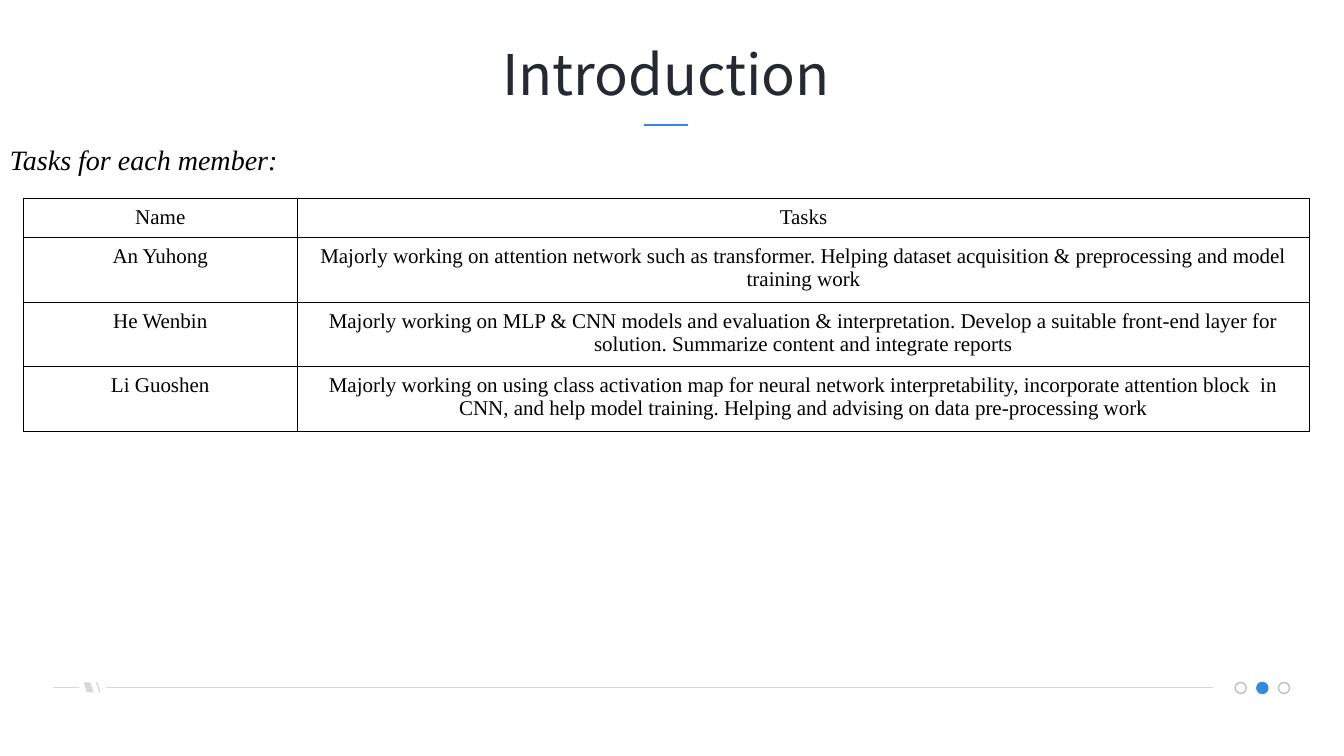
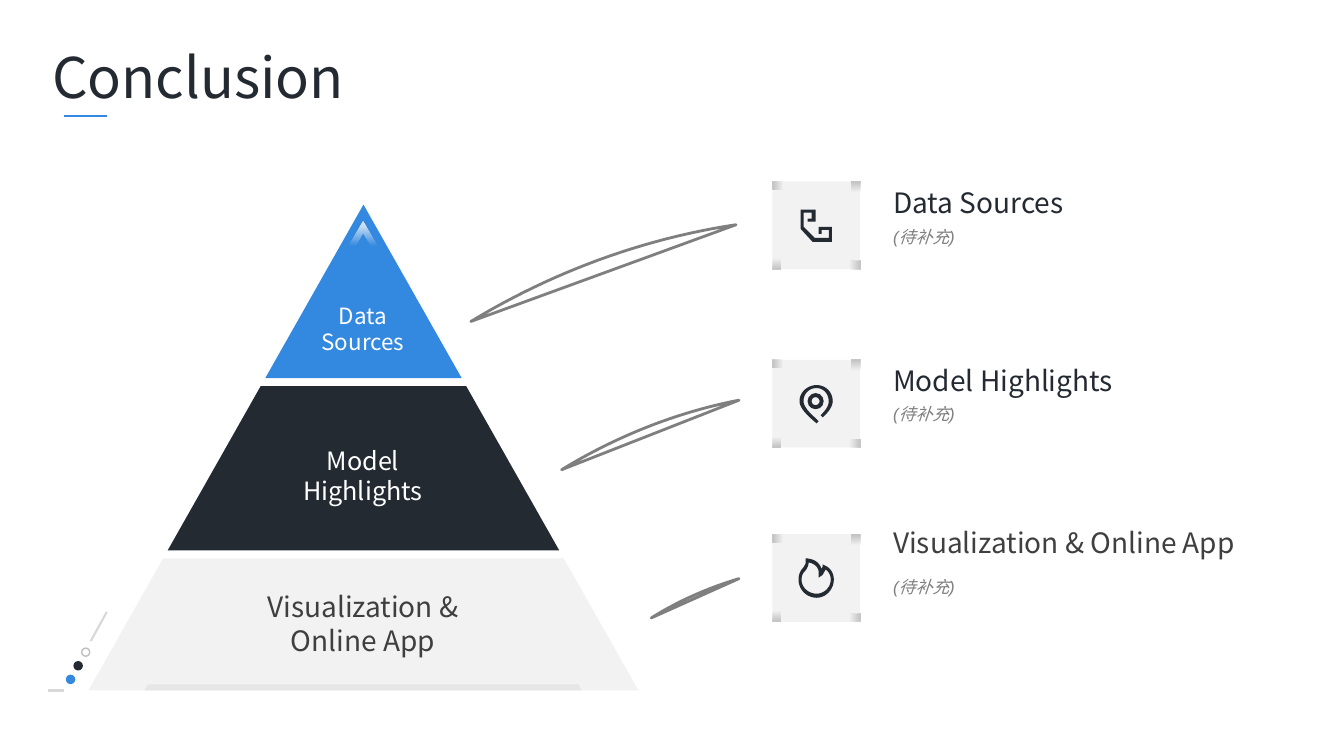
from dataclasses import dataclass

from lxml.etree import SubElement, fromstring
from pptx import Presentation
from pptx.dml.color import RGBColor
from pptx.enum.shapes import MSO_CONNECTOR, MSO_SHAPE
from pptx.enum.text import MSO_ANCHOR, MSO_AUTO_SIZE, PP_ALIGN
from pptx.oxml.ns import nsdecls, qn
from pptx.util import Inches, Pt

# Shared look
SANS, SERIF, NOTE_FONT = "Noto Sans CJK SC", "Times New Roman", "Arial"
BLUE, NAVY, WHITE, BLACK = "3388DF", "242A32", "FFFFFF", "000000"
PALE, RULE, RING, GREY, CHARCOAL = "F2F2F2", "D8D8D8", "BFBFBF", "7F7F7F", "3F3F3F"

Point = tuple[float, float]


@dataclass
class Style:
    size: float
    color: str = NAVY
    font: str = SANS
    italic: bool = False
    align: PP_ALIGN = PP_ALIGN.LEFT
    spacing: float | None = None


@dataclass
class Layer:
    label: str
    top: float
    bottom: float
    fill: str
    label_box: tuple[float, float, float, float]
    style: Style


@dataclass
class Topic:
    heading: str
    tile_top: float
    heading_top: float
    note_top: float
    style: Style
    icon: list[list[Point]]
    swoosh: list[Point]


def rgb(color: str) -> RGBColor:
    return RGBColor.from_string(color)


def paint(shape, fill: str | None = None, line: str | None = None, width: float = 1):
    shape.shadow.inherit = False
    if fill:
        shape.fill.solid()
        shape.fill.fore_color.rgb = rgb(fill)
    else:
        shape.fill.background()
    if line:
        shape.line.color.rgb = rgb(line)
        shape.line.width = Pt(width)
    else:
        shape.line.fill.background()
    return shape


def paint_gradient(shape, color: str, stops: list[tuple[int, int]], angle: int) -> None:
    """Fill with one colour whose opacity runs through (position, alpha) stops."""
    paint(shape)
    marks = "".join(
        f'<a:gs pos="{position * 1000}"><a:srgbClr val="{color}">'
        f'<a:alpha val="{alpha * 1000}"/></a:srgbClr></a:gs>'
        for position, alpha in stops)
    gradient = fromstring(
        f'<a:gradFill {nsdecls("a")} rotWithShape="1"><a:gsLst>{marks}</a:gsLst>'
        f'<a:lin ang="{angle * 60000}" scaled="0"/></a:gradFill>')
    properties = shape._element.spPr
    properties.replace(properties.find(qn("a:noFill")), gradient)


def add_preset(slide, kind: MSO_SHAPE, left: float, top: float, width: float, height: float):
    return slide.shapes.add_shape(
        kind, Inches(left), Inches(top), Inches(width), Inches(height))


def add_dot(slide, left: float, top: float, size: float, fill: str | None) -> None:
    paint(add_preset(slide, MSO_SHAPE.OVAL, left, top, size, size), fill, fill or RING)


def add_rule(slide, start: Point, end: Point, color: str = RULE, width: float = 1) -> None:
    rule = slide.shapes.add_connector(
        MSO_CONNECTOR.STRAIGHT, *(Inches(value) for value in start + end))
    rule.line.color.rgb = rgb(color)
    rule.line.width = Pt(width)
    SubElement(rule._element.spPr, qn("a:effectLst"))


def add_outline(slide, contours: list[list[Point]]):
    scaled = [[(Inches(x), Inches(y)) for x, y in contour] for contour in contours]
    builder = slide.shapes.build_freeform(*scaled[0][0], scale=1.0)
    for number, contour in enumerate(scaled):
        if number:
            builder.move_to(*contour[0])
        builder.add_line_segments(contour[1:], close=True)
    return builder.convert_to_shape()


def curve(points: list[Point], steps: int = 10) -> list[Point]:
    """Trace joined cubic curves: a start, then three points per curve."""
    traced = [points[0]]
    for first in range(0, len(points) - 1, 3):
        a, b, c, d = points[first:first + 4]
        for step in range(1, steps + 1):
            t = step / steps
            u = 1 - t
            weights = (u ** 3, 3 * u * u * t, 3 * u * t * t, t ** 3)
            traced.append(tuple(
                sum(w * p[axis] for w, p in zip(weights, (a, b, c, d))) for axis in (0, 1)))
    return traced


def write(paragraph, text: str, style: Style) -> None:
    paragraph.alignment = style.align
    if style.spacing:
        paragraph.line_spacing = style.spacing
    run = paragraph.add_run()
    run.text = text
    run.font.size = Pt(style.size)
    run.font.name = style.font
    run.font.italic = style.italic
    run.font.color.rgb = rgb(style.color)


def add_text(slide, text: str, left: float, top: float, width: float, height: float,
             style: Style, inset: float = 0.05) -> None:
    frame = slide.shapes.add_textbox(
        Inches(left), Inches(top), Inches(width), Inches(height)).text_frame
    frame.word_wrap = True
    frame.auto_size = MSO_AUTO_SIZE.SHAPE_TO_FIT_TEXT
    frame.margin_top = frame.margin_bottom = Inches(inset)
    write(frame.paragraphs[0], text, style)


def add_title(slide, text: str, left: float, top: float, align: PP_ALIGN, accent: Point) -> None:
    add_text(slide, text, left, top, 3.93, 0.77, Style(40, align=align))
    add_rule(slide, accent, (accent[0] + 0.43, accent[1]), BLUE, 2)


# Introduction
TASKS = [
    ("Name", "Tasks"),
    ("An Yuhong", "Majorly working on attention network such as transformer. Helping dataset "
     "acquisition & preprocessing and model training work"),
    ("He Wenbin", "Majorly working on MLP & CNN models and evaluation & interpretation. Develop "
     "a suitable front-end layer for solution. Summarize content and integrate reports"),
    ("Li Guoshen", "Majorly working on using class activation map for neural network "
     "interpretability, incorporate attention block  in CNN, and help model training. "
     "Helping and advising on data pre-processing work"),
]


def add_borders(cell) -> None:
    properties = cell._tc.get_or_add_tcPr()
    for place, side in enumerate(("lnL", "lnR", "lnT", "lnB")):
        properties.insert(place, fromstring(
            f'<a:{side} {nsdecls("a")} w="{Pt(1)}"><a:solidFill>'
            f'<a:srgbClr val="{BLACK}"/></a:solidFill></a:{side}>'))


def add_task_table(slide) -> None:
    table = slide.shapes.add_table(
        len(TASKS), 2, Inches(0.23), Inches(1.97), Inches(12.76), Inches(2.31)).table
    for column, width in zip(table.columns, (2.72, 10.04)):
        column.width = Inches(width)
    style = Style(15, BLACK, SERIF, align=PP_ALIGN.CENTER)
    for number, (row, texts) in enumerate(zip(table.rows, TASKS)):
        row.height = Inches(0.64 if number else 0.39)
        for cell, text in zip(row.cells, texts):
            cell.fill.background()
            cell.margin_left = cell.margin_right = Inches(0.07)
            cell.margin_top = cell.margin_bottom = Inches(0.07)
            add_borders(cell)
            write(cell.text_frame.paragraphs[0], text, style)


def add_footer(slide) -> None:
    for number, fill in enumerate((None, BLUE, None)):
        add_dot(slide, 12.25 + number * 0.215, 6.77, 0.11, fill)
    add_rule(slide, (1.05, 6.82), (12.03, 6.82))
    add_rule(slide, (0.53, 6.82), (0.78, 6.82))
    add_rule(slide, (0.96, 6.77), (0.99, 6.87))
    slant = paint(add_preset(slide, MSO_SHAPE.PARALLELOGRAM, 0.83, 6.77, 0.1, 0.1), RULE)
    slant.adjustments[0] = 0.33
    slant._element.spPr.xfrm.set("flipH", "1")


def build_introduction(slide) -> None:
    add_title(slide, "Introduction", 4.64, 0.34, PP_ALIGN.CENTER, (6.39, 1.24))
    add_footer(slide)
    add_text(slide, "Tasks for each member:", 0, 1.31, 3.93, 0.54,
             Style(20, BLACK, SERIF, italic=True, align=PP_ALIGN.JUSTIFY), inset=0.1)
    add_task_table(slide)


# Conclusion
APEX_X, APEX_Y, SLOPE = 3.605, 2.03, 0.566
TILE_LEFT, TILE, ACCENT_W, ACCENT_H = 7.66, 0.87, 0.25, 0.08
LAYERS = [
    Layer("Visualization & Online App", 5.54, 6.85, PALE, (2.44, 5.93, 2.32, 0.51),
          Style(20, CHARCOAL, align=PP_ALIGN.CENTER)),
    Layer("Data Sources", APEX_Y, 3.75, BLUE, (2.85, 3, 1.5, 0.52),
          Style(16, WHITE, align=PP_ALIGN.CENTER)),
    Layer("Model Highlights", 3.83, 5.46, NAVY, (2.53, 4.46, 2.14, 0.52),
          Style(18, WHITE, align=PP_ALIGN.CENTER)),
]
PHONE = [[
    (8.15, 2.32), (8.12, 2.32), (8.12, 2.25), (8.25, 2.25), (8.25, 2.4), (8.06, 2.4),
    (7.94, 2.27), (7.94, 2.08), (8.09, 2.08), (8.09, 2.2), (8.01, 2.2), (8.01, 2.17),
    (8.05, 2.17), (8.05, 2.11), (7.97, 2.11), (7.97, 2.25), (8.08, 2.36), (8.22, 2.36),
    (8.22, 2.28), (8.15, 2.28)]]
PIN = [curve([
    (8.08, 4.14), (7.99, 4.06), (7.97, 4.01), (7.97, 3.98), (7.97, 3.91), (8.02, 3.85),
    (8.1, 3.85), (8.17, 3.85), (8.22, 3.91), (8.22, 3.98), (8.22, 4.01), (8.21, 4.05),
    (8.14, 4.12)]) + curve([
        (8.16, 4.14), (8.23, 4.08), (8.26, 4.02), (8.26, 3.98), (8.26, 3.89), (8.19, 3.82),
        (8.1, 3.82), (8.01, 3.82), (7.93, 3.89), (7.93, 3.98), (7.93, 4.04), (7.99, 4.11),
        (8.1, 4.2)]) + [(8.12, 4.18)]]
FLAME = [
    curve([(7.95, 5.75), (7.95, 5.83), (8.02, 5.89), (8.1, 5.89), (8.17, 5.89), (8.24, 5.83),
           (8.24, 5.75), (8.24, 5.71), (8.22, 5.67), (8.19, 5.65), (8.18, 5.66), (8.18, 5.67),
           (8.17, 5.68), (8.17, 5.69), (8.16, 5.7), (8.15, 5.71)])
    + [(8.12, 5.73)]
    + curve([(8.12, 5.68), (8.12, 5.63), (8.08, 5.59), (8.02, 5.58), (8.02, 5.6), (8.01, 5.64),
             (7.98, 5.67), (7.96, 5.69), (7.95, 5.72), (7.95, 5.75)]),
    [(8.15, 5.64), (8.16, 5.62), (8.16, 5.6), (8.18, 5.61)]
    + curve([(8.2, 5.62), (8.25, 5.65), (8.27, 5.7), (8.27, 5.75), (8.27, 5.85), (8.19, 5.93),
             (8.1, 5.93), (8, 5.93), (7.92, 5.85), (7.92, 5.75), (7.92, 5.71), (7.93, 5.68),
             (7.95, 5.65), (7.97, 5.63), (7.98, 5.61), (7.99, 5.59)])
    + [(7.99, 5.54)]
    + curve([(8.01, 5.54), (8.08, 5.55), (8.13, 5.58), (8.15, 5.65)]),
]
HEADING = Style(20, spacing=1.3)
NOTE = Style(12, GREY, NOTE_FONT, italic=True, spacing=1.3)
TOPICS = [
    Topic("Data Sources", 1.8, 1.69, 2.14, HEADING, PHONE,
          [(4.67, 3.19), (5.48, 2.7), (6.37, 2.37), (7.3, 2.23)]),
    Topic("Model Highlights", 3.57, 3.46, 3.9, HEADING, PIN,
          [(5.57, 4.66), (6.11, 4.33), (6.71, 4.09), (7.33, 3.97)]),
    Topic("Visualization & Online App", 5.3, 5.16, 5.61, Style(20, CHARCOAL), FLAME,
          [(6.46, 6.13), (6.73, 5.96), (7.03, 5.83), (7.33, 5.74)]),
]


def add_layer(slide, layer: Layer) -> None:
    upper, lower = ((y - APEX_Y) * SLOPE for y in (layer.top, layer.bottom))
    paint(add_outline(slide, [[
        (APEX_X - upper, layer.top), (APEX_X + upper, layer.top),
        (APEX_X + lower, layer.bottom), (APEX_X - lower, layer.bottom)]]), layer.fill)
    label = paint(add_preset(slide, MSO_SHAPE.ROUNDED_RECTANGLE, *layer.label_box))
    label.text_frame.word_wrap = True
    label.text_frame.vertical_anchor = MSO_ANCHOR.MIDDLE
    write(label.text_frame.paragraphs[0], layer.label, layer.style)


def add_tile(slide, top: float) -> None:
    paint(add_preset(slide, MSO_SHAPE.RECTANGLE, TILE_LEFT, top, TILE, TILE), PALE)
    long, short = ACCENT_W / 2, ACCENT_H / 2
    centres = {0: (TILE - long, TILE - short), 270: (TILE - short, long),
               180: (long, short), 90: (short, TILE - long)}
    for angle, (x, y) in centres.items():
        accent = add_preset(slide, MSO_SHAPE.RECTANGLE, TILE_LEFT + x - long,
                            top + y - short, ACCENT_W, ACCENT_H)
        accent.rotation = angle
        paint_gradient(accent, RING, [(0, 100), (43, 0), (100, 0)], 180)


def add_topic(slide, topic: Topic) -> None:
    add_tile(slide, topic.tile_top)
    paint(add_outline(slide, topic.icon), NAVY)
    add_text(slide, topic.heading, 8.76, topic.heading_top, 4.04, 0.51, topic.style)
    add_text(slide, "(待补充)", 8.76, topic.note_top, 3.69, 0.6, NOTE)
    paint(add_outline(slide, [curve(topic.swoosh, 24)]), None, GREY, 2)


def build_conclusion(slide) -> None:
    add_title(slide, "Conclusion", 0.42, 0.37, PP_ALIGN.LEFT, (0.63, 1.15))
    # Pyramid
    for layer in LAYERS:
        add_layer(slide, layer)
    paint(add_outline(slide, [[(1.47, 6.79), (5.74, 6.79), (5.77, 6.85), (1.43, 6.85)]]), "E7E6E6")
    chevron = add_outline(slide, [[(3.6, 2.19), (3.75, 2.45), (3.72, 2.52),
                                   (3.6, 2.32), (3.49, 2.52), (3.45, 2.45)]])
    paint_gradient(chevron, WHITE, [(0, 0), (25, 0), (85, 75), (100, 75)], 270)
    # Topics
    for topic in TOPICS:
        add_topic(slide, topic)
    pin_eye = paint(add_preset(slide, MSO_SHAPE.DONUT, 8.01, 3.9, 0.16, 0.16), NAVY)
    pin_eye.adjustments[0] = 0.25
    # Corner ornament
    add_rule(slide, (1.06, 6.07), (0.9, 6.36), width=1.5)
    add_rule(slide, (0.48, 6.85), (0.63, 6.85), width=1.5)
    for number, fill in enumerate((BLUE, NAVY, None)):
        add_dot(slide, 0.66 + number * 0.075, 6.7 - number * 0.135, 0.08, fill)


def main() -> None:
    deck = Presentation()
    deck.slide_width, deck.slide_height = Inches(13.33), Inches(7.5)
    for build in (build_introduction, build_conclusion):
        build(deck.slides.add_slide(deck.slide_layouts[6]))
    deck.save("out.pptx")


if __name__ == "__main__":
    main()
